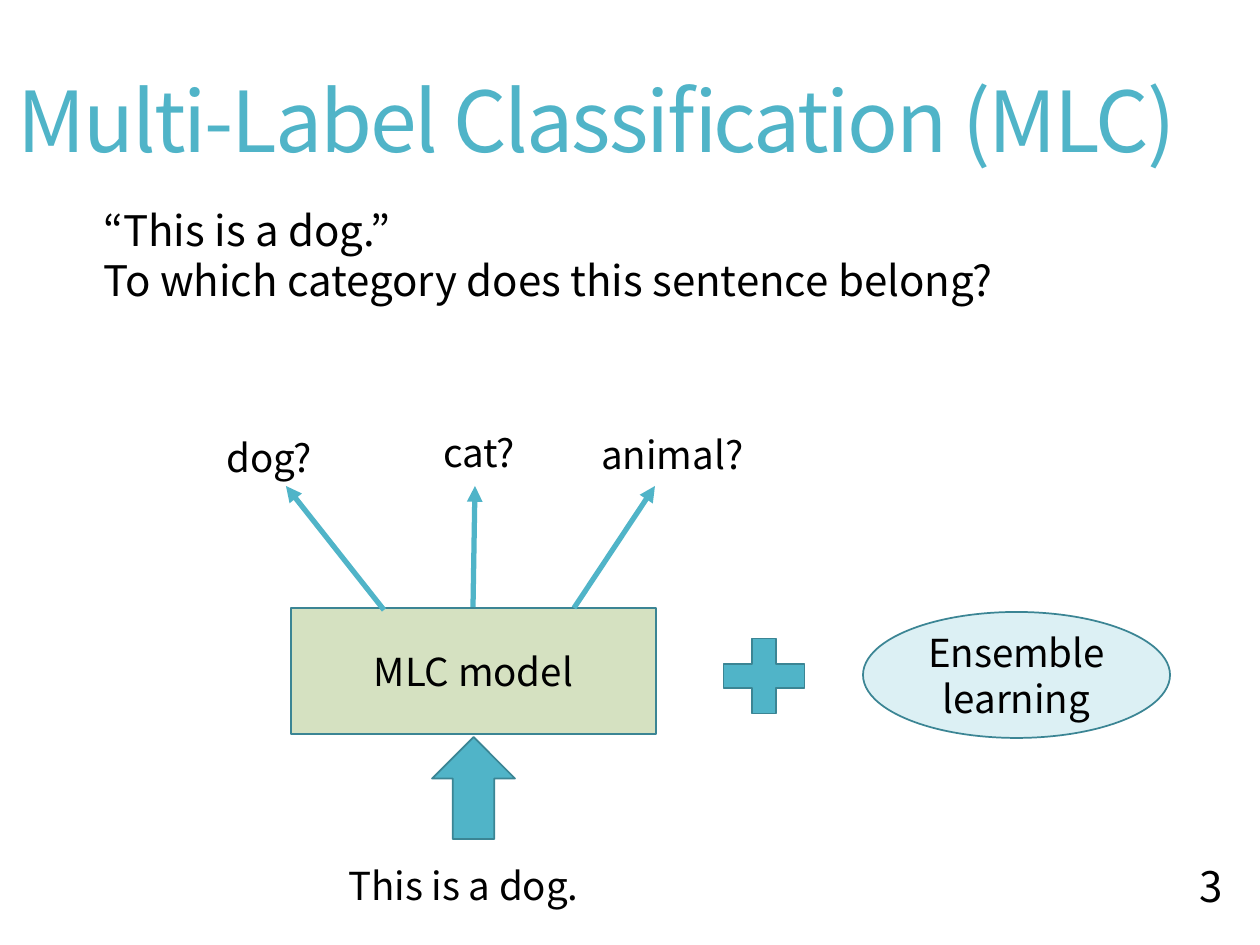
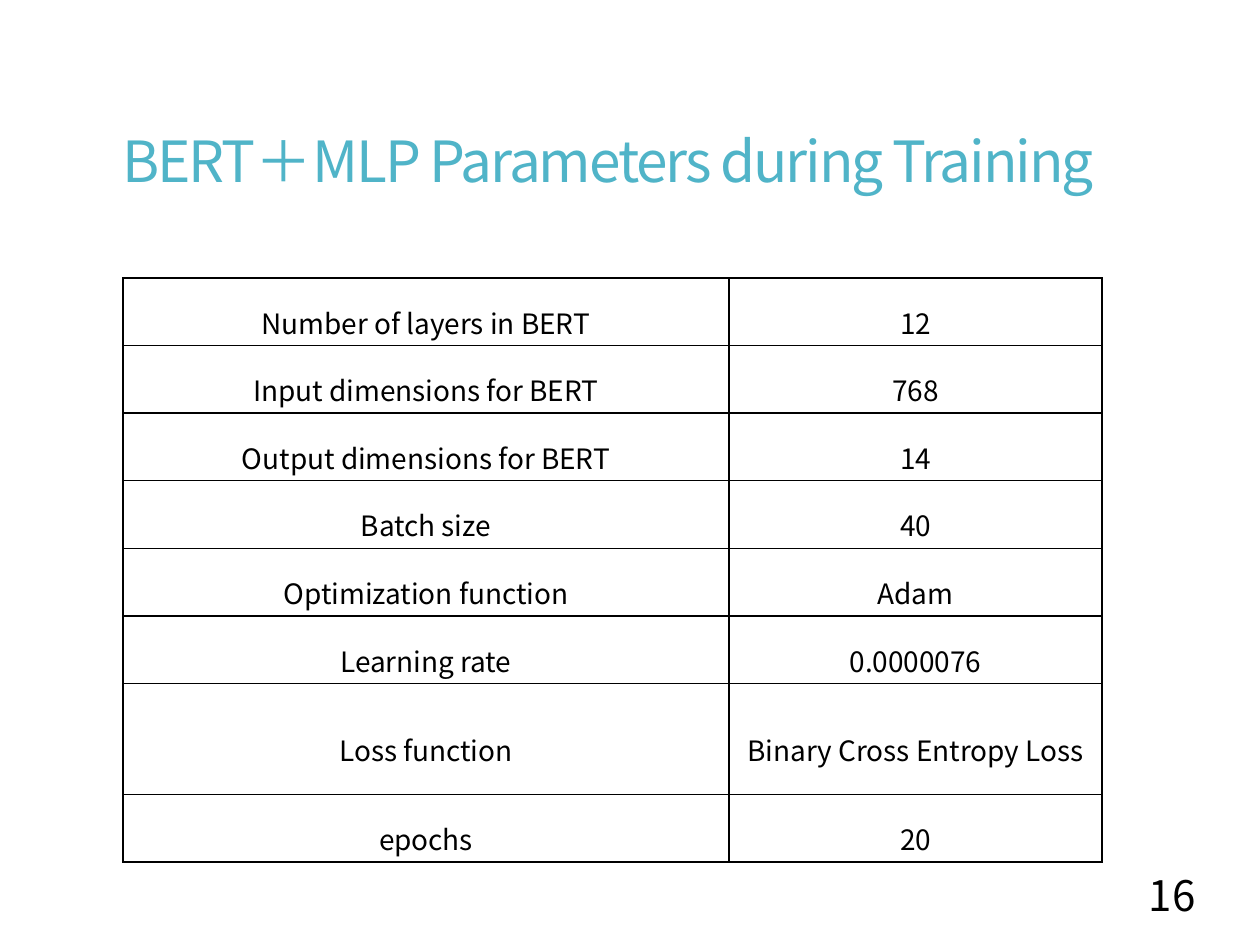
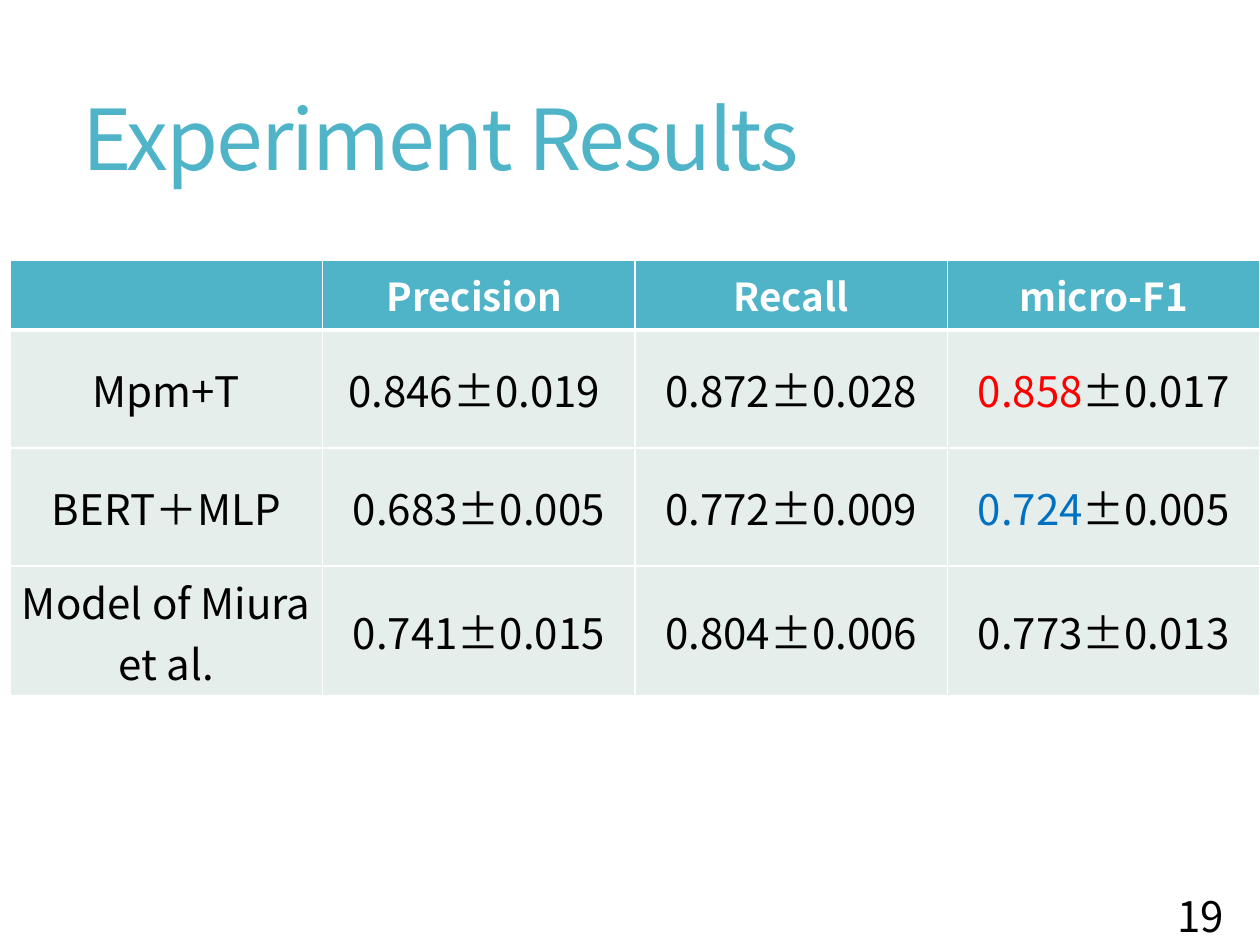
import pptx
import pptx.util
import pptx.dml.color
import pptx.enum.shapes
import pptx.enum.text
import pptx.oxml
import pptx.oxml.ns

# Shared look
SCALE = 914400 / 126
FONT = "Noto Sans CJK JP"
TEAL, EDGE = "50B4C8", "3B8594"
GREEN, PALE, GREY = "D5E1C1", "DCF0F4", "E6EEEB"
BLACK, WHITE, RED, BLUE = "000000", "FFFFFF", "FF0000", "0070C0"

SHAPE = pptx.enum.shapes.MSO_SHAPE
ALIGN = pptx.enum.text.PP_ALIGN
MIDDLE = pptx.enum.text.MSO_ANCHOR.MIDDLE
GROW = pptx.enum.text.MSO_AUTO_SIZE.SHAPE_TO_FIT_TEXT


def px(*sizes):
    return [pptx.util.Emu(round(size * SCALE)) for size in sizes]


def rgb(code):
    return pptx.dml.color.RGBColor.from_string(code)


def node(xml):
    return pptx.oxml.parse_xml(
        xml.replace(">", f" {pptx.oxml.ns.nsdecls('a')}>", 1))


# Text
def style(font, size, color, bold=False):
    font.size = pptx.util.Pt(size)
    font.bold = bold
    font.name = FONT
    font.color.rgb = rgb(color)
    font._rPr.append(node(f'<a:ea typeface="{FONT}"></a:ea>'))


def write(frame, text, size, color=BLACK, align=ALIGN.LEFT, bold=False,
          space=None):
    for i, line in enumerate(text.split("\n")):
        para = frame.add_paragraph() if i else frame.paragraphs[0]
        para.alignment = align
        para.line_spacing = space
        if line:
            para.add_run().text = line
        style(para.font, size, color, bold)


def label(slide, box, text, size=22, wrap=True):
    frame = slide.shapes.add_textbox(*px(*box)).text_frame
    frame.word_wrap = wrap
    frame.auto_size = GROW
    write(frame, text, size)


def title(slide, box, text, size=48):
    frame = slide.shapes.add_textbox(*px(*box)).text_frame
    frame.word_wrap = True
    frame.vertical_anchor = MIDDLE
    write(frame, text, size, TEAL, space=0.9)
    frame.paragraphs[0].font._rPr.set("spc", "-120")


def number(slide, box, text):
    frame = slide.shapes.add_textbox(*px(*box)).text_frame
    frame.word_wrap = True
    frame.vertical_anchor = MIDDLE
    write(frame, text, 24, align=ALIGN.RIGHT)


# Shapes and arrows
def block(slide, kind, box, fill, text="", turn=0):
    shape = slide.shapes.add_shape(kind, *px(*box))
    shape.shadow.inherit = False
    shape.rotation = turn
    shape.fill.solid()
    shape.fill.fore_color.rgb = rgb(fill)
    shape.line.color.rgb = rgb(EDGE)
    shape.line.width = pptx.util.Pt(1)
    if text:
        shape.text_frame.vertical_anchor = MIDDLE
        write(shape.text_frame, text, 22, align=ALIGN.CENTER)


def arrow(slide, start, end):
    kind = pptx.enum.shapes.MSO_CONNECTOR.STRAIGHT
    line = slide.shapes.add_connector(kind, *px(*start, *end))
    line.line.color.rgb = rgb(TEAL)
    line.line.width = pptx.util.Pt(3)
    line.line._get_or_add_ln().append(node('<a:tailEnd type="triangle"></a:tailEnd>'))
    line._element.spPr.append(node("<a:effectLst></a:effectLst>"))


# Tables
def grid(slide, spot, cols, rows):
    size = (sum(cols), sum(rows))
    table = slide.shapes.add_table(
        len(rows), len(cols), *px(*spot, *size)).table
    table.first_row = table.horz_banding = False
    for col, width in zip(table.columns, px(*cols)):
        col.width = width
    for row, height in zip(table.rows, px(*rows)):
        row.height = height
    return table


def border(cell, color, top=1, base=1):
    for side, width in zip("LRTB", (1, 1, top, base)):
        cell._tc.get_or_add_tcPr().append(node(
            f'<a:ln{side} w="{width * 12700}"><a:solidFill>'
            f'<a:srgbClr val="{color}"/></a:solidFill></a:ln{side}>'))


def inset(cell, side, top):
    cell.margin_left = cell.margin_right = pptx.util.Inches(side)
    cell.margin_top = cell.margin_bottom = pptx.util.Inches(top)
    cell.vertical_anchor = MIDDLE


# Slides
def model(slide):
    title(slide, (5, 24, 1286, 202), "Multi-Label Classification (MLC)")
    number(slide, (1105, 850, 130, 71), "3")
    label(slide, (91, 198, 998, 115),
          "“This is a dog.”\nTo which category does this sentence belong?", 24)
    label(slide, (336, 856, 280, 59), "This is a dog.", wrap=False)
    block(slide, SHAPE.DOWN_ARROW, (432, 737, 83, 102), TEAL, turn=180)
    block(slide, SHAPE.RECTANGLE, (291, 608, 365, 126), GREEN, "MLC model")
    for start, end in [((384, 610), (286, 486)), ((473, 607), (475, 486)),
                       ((574, 608), (655, 486))]:
        arrow(slide, start, end)
    for text, left, top, width in [("dog?", 214, 428, 142),
                                   ("cat?", 431, 423, 169),
                                   ("animal?", 589, 425, 189)]:
        label(slide, (left, top, width, 59), text)
    block(slide, SHAPE.OVAL, (863, 612, 307, 126), PALE, "Ensemble\nlearning")
    block(slide, SHAPE.MATH_PLUS, (709, 625, 110, 102), TEAL)


def params(slide):
    title(slide, (110, 119, 1040, 91),
          "BERT＋MLP Parameters during Training", 32.4)
    rows = [("Number of layers in BERT", "12"),
            ("Input dimensions for BERT", "768"),
            ("Output dimensions for BERT", "14"),
            ("Batch size", "40"),
            ("Optimization function", "Adam"),
            ("Learning rate", "0.0000076"),
            ("Loss function", "Binary Cross Entropy Loss"),
            ("epochs", "20")]
    high = [111 if row[0] == "Loss function" else 67.6 for row in rows]
    table = grid(slide, (123, 278), (606, 373), high)
    for r, row in enumerate(rows):
        for c, text in enumerate(row):
            cell = table.cell(r, c)
            inset(cell, 0.06, 0.03)
            border(cell, BLACK)
            cell.fill.background()
            write(cell.text_frame, text, 16, align=ALIGN.CENTER, space=1.5)
    number(slide, (1048, 858, 160, 73), "16")


def results(slide):
    title(slide, (70, 46, 1114, 194), "Experiment Results")
    rows = [("", "Precision ", "Recall", "micro-F1"),
            ("Mpm+T", "0.846±0.019 ", "0.872±0.028", "0.858±0.017"),
            ("BERT＋MLP", "0.683±0.005", "0.772±0.009", "0.724±0.005"),
            ("Model of Miura et al.", "0.741±0.015", "0.804±0.006",
             "0.773±0.013")]
    marks = {(1, 3): RED, (2, 3): BLUE}
    table = grid(slide, (10, 260), [312.5] * 4, [70, 118, 118, 130])
    for r, row in enumerate(rows):
        head = r == 0
        for c, text in enumerate(row):
            cell = table.cell(r, c)
            inset(cell, 0.07, 0.04)
            border(cell, WHITE, 3 if r == 1 else 1, 3 if head else 1)
            cell.fill.solid()
            cell.fill.fore_color.rgb = rgb(TEAL if head else GREY)
            write(cell.text_frame, text, 22 if head else 24,
                  WHITE if head else BLACK, ALIGN.CENTER, head)
            if (r, c) in marks:
                para = cell.text_frame.paragraphs[0]
                mean, error = text.split("±")
                para.runs[0].text = mean
                para.runs[0].font.color.rgb = rgb(marks[r, c])
                para.add_run().text = "±" + error
    number(slide, (1076, 879, 160, 73), "19")


def main():
    deck = pptx.Presentation()
    deck.slide_width, deck.slide_height = px(1260, 945)
    for build in (model, params, results):
        build(deck.slides.add_slide(deck.slide_layouts[6]))
    deck.save("out.pptx")


main()
